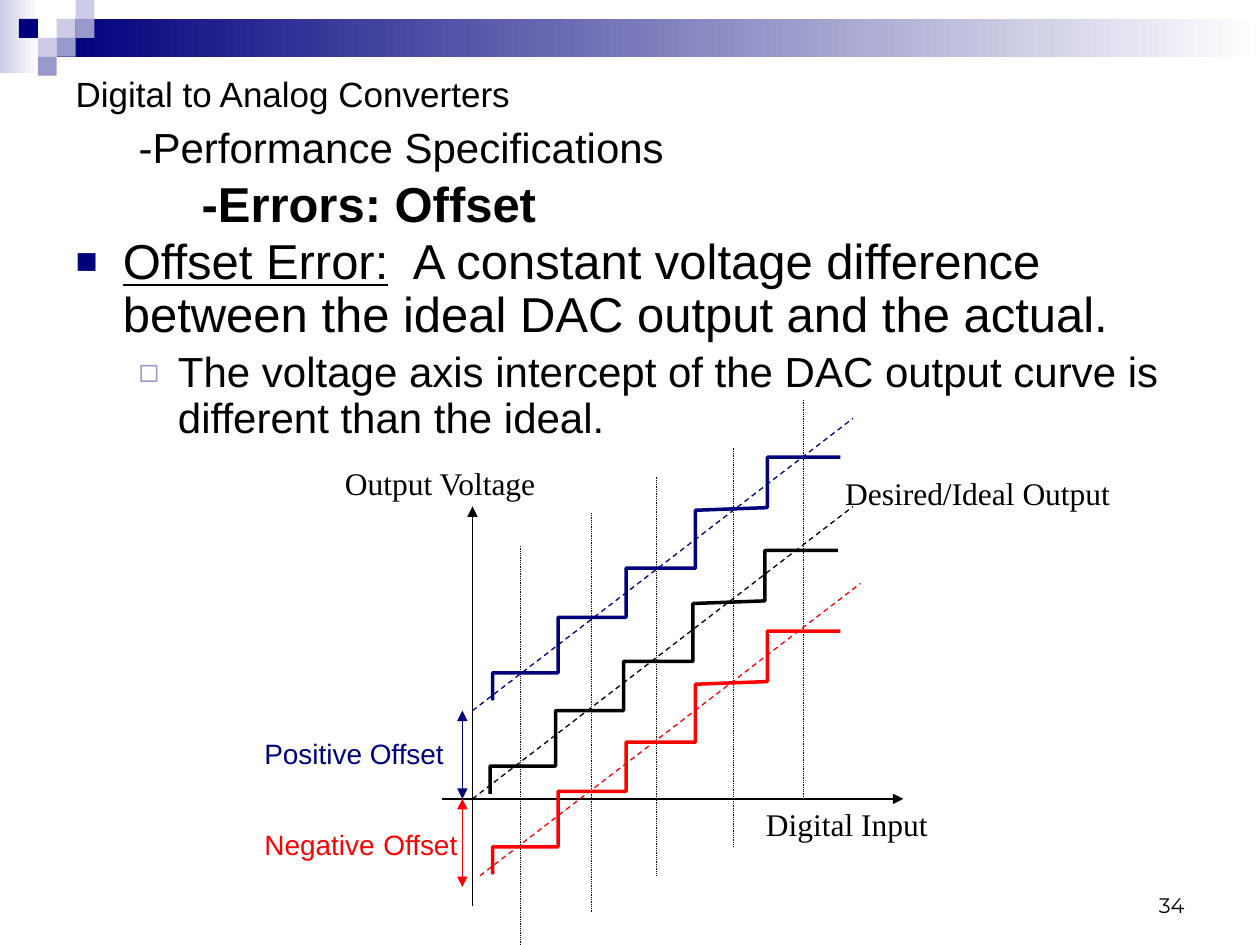
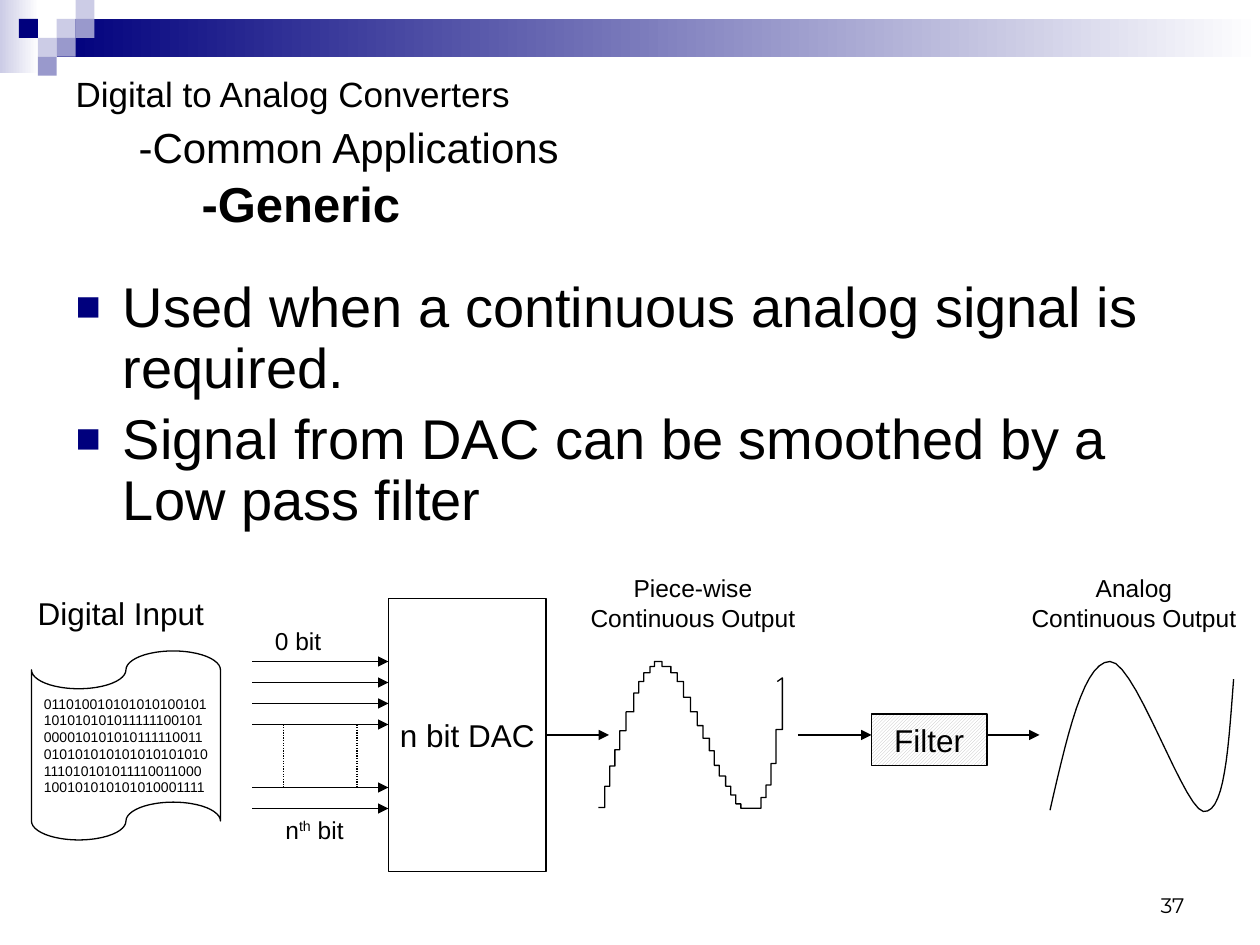
import pptx
import pptx.util
import pptx.dml.color
import pptx.enum.dml
import pptx.enum.shapes
import pptx.enum.text
import pptx.oxml
import pptx.oxml.ns

Pt = pptx.util.Pt
ALIGN = pptx.enum.text.PP_ALIGN
ANCHOR = pptx.enum.text.MSO_ANCHOR
SHAPE = pptx.enum.shapes.MSO_SHAPE
DASH = pptx.enum.dml.MSO_LINE.DASH
DOT = pptx.enum.dml.MSO_LINE.ROUND_DOT

COLOURS = {
    "black": "000000",
    "white": "FFFFFF",
    "navy": "00007D",
    "lilac": "9999CC",
    "pale": "CCCCE6",
    "red": "FF0000",
    "hatch": "C0C0C0",
}
BULLETS = [
    {"char": "■", "colour": "navy", "percent": 75, "margin": 27, "indent": -27},
    {"char": "◻", "colour": "lilac", "percent": 80, "margin": 58.5, "indent": -22.5},
]
BAND_UNIT = 10.8
BAND_SQUARES = [(3, 1, "pale"), (4, 0, "pale"), (4, 1, "lilac"), (2, 2, "pale"),
                (1, 1, "navy"), (3, 2, "lilac"), (2, 3, "lilac")]


def rgb(name):
    return pptx.dml.color.RGBColor.from_string(COLOURS[name])


def add_xml(parent, tag, **attributes):
    child = pptx.oxml.parse_xml(f"<a:{tag} {pptx.oxml.ns.nsdecls('a')}/>")
    for key, value in attributes.items():
        child.set(key, str(value))
    parent.append(child)
    return child


def staircase(start, treads, end=()):
    points = [start]
    level = start[1]
    for x, y, *slope in treads:
        points += [(x, level), (x, y)]
        level = slope[0] if slope else y
    return points + list(end)


def bezier(start, curves, steps=14):
    points = [start]
    for a, b, end in curves:
        first = points[-1]
        for step in range(1, steps + 1):
            t = step / steps
            u = 1 - t
            points.append(tuple(
                u**3 * p + 3 * u * u * t * q + 3 * u * t * t * r + t**3 * s
                for p, q, r, s in zip(first, a, b, end)))
    return points


class Builder:
    def __init__(self):
        self.deck = pptx.Presentation()
        self.deck.slide_width, self.deck.slide_height = Pt(720), Pt(540)
        self.page = None

    def new_page(self, number, topic, subject):
        self.page = self.deck.slides.add_slide(self.deck.slide_layouts[1])
        self.band()
        self.title(topic, subject)
        self.text(516, 492, 168, 36, [(number, 12)], font="Montserrat",
                  align=ALIGN.RIGHT, anchor=ANCHOR.BOTTOM)

    def band(self):
        unit = BAND_UNIT
        self.gradient(0, 0, 22.3, 41.8, "pale")
        self.gradient(3 * unit, unit, 720 - 3 * unit, 2 * unit, "navy")
        for column, row, colour in BAND_SQUARES:
            self.rect(column * unit, row * unit, unit, unit, fill=colour)

    def title(self, topic, subject):
        box = self.page.shapes.title
        self.place(box, 36, 48, 648, 78)
        frame = box.text_frame
        frame.auto_size = pptx.enum.text.MSO_AUTO_SIZE.NONE
        frame.vertical_anchor = ANCHOR.MIDDLE
        para = frame.paragraphs[0]
        para.alignment = ALIGN.LEFT
        self.add_spans(para, [("Digital to Analog Converters", 20), ("\v", 20),
                              ("\t", 28), ("-" + topic, 24), ("\v", 24),
                              ("\t\t", 24), ("-" + subject, 28, "bold")])

    def bullets(self, top, height, items):
        box = self.page.placeholders[1]
        self.place(box, 36, top, 648, height)
        frame = box.text_frame
        frame.auto_size = pptx.enum.text.MSO_AUTO_SIZE.NONE
        for index, (level, spans) in enumerate(items):
            para = frame.add_paragraph() if index else frame.paragraphs[0]
            para.level = level
            para.line_spacing = 0.9
            self.add_spans(para, spans)
            style = BULLETS[level]
            props = para._p.get_or_add_pPr()
            props.set("marL", str(Pt(style["margin"])))
            props.set("indent", str(Pt(style["indent"])))
            add_xml(add_xml(props, "buClr"), "srgbClr", val=COLOURS[style["colour"]])
            add_xml(props, "buSzPct", val=style["percent"] * 1000)
            add_xml(props, "buFont", typeface="Arial")
            add_xml(props, "buChar", char=style["char"])

    def place(self, box, left, top, width, height):
        box.left, box.top, box.width, box.height = map(Pt, (left, top, width, height))

    def add_spans(self, para, spans, font="Arial", colour="black"):
        for text, size, *styles in spans:
            if text == "\v":
                para.add_line_break()
                add_xml(para._p[-1], "rPr", sz=size * 100)
                continue
            span = para.add_run()
            span.text = text
            span.font.name = font
            span.font.size = Pt(size)
            span.font.color.rgb = rgb(colour)
            if "bold" in styles:
                span.font.bold = True
            if "underline" in styles:
                span.font.underline = True
            if "super" in styles:
                span.font._element.set("baseline", "30000")

    def text(self, left, top, width, height, spans, font="Arial", colour="black",
             align=ALIGN.LEFT, anchor=ANCHOR.TOP):
        box = self.page.shapes.add_textbox(*map(Pt, (left, top, width, height)))
        frame = box.text_frame
        frame.word_wrap = True
        frame.vertical_anchor = anchor
        frame.paragraphs[0].alignment = align
        self.add_spans(frame.paragraphs[0], spans, font, colour)

    def rect(self, left, top, width, height, fill=None, line=None, kind=SHAPE.RECTANGLE):
        box = self.page.shapes.add_shape(kind, *map(Pt, (left, top, width, height)))
        box.shadow.inherit = False
        if fill:
            box.fill.solid()
            box.fill.fore_color.rgb = rgb(fill)
        else:
            box.fill.background()
        if line:
            box.line.color.rgb = rgb(line)
            box.line.width = Pt(0.75)
        else:
            box.line.fill.background()
        return box

    def gradient(self, left, top, width, height, colour):
        box = self.rect(left, top, width, height)
        box.fill.gradient()
        box.fill.gradient_angle = 0
        for stop, name in zip(box.fill.gradient_stops, (colour, "white")):
            stop.color.rgb = rgb(name)

    def label(self, box, lines, size, align=ALIGN.CENTER, wrap=False):
        frame = box.text_frame
        frame.word_wrap = wrap
        frame.vertical_anchor = ANCHOR.MIDDLE
        for index, line in enumerate(lines):
            para = frame.add_paragraph() if index else frame.paragraphs[0]
            para.alignment = align
            self.add_spans(para, [(line, size)])

    def line(self, x1, y1, x2, y2, colour="black", width=0.75, dash=None,
             ends=(), source=None):
        link = self.page.shapes.add_connector(
            pptx.enum.shapes.MSO_CONNECTOR.STRAIGHT, *map(Pt, (x1, y1, x2, y2)))
        link.line.color.rgb = rgb(colour)
        link.line.width = Pt(width)
        if dash:
            link.line.dash_style = dash
        for end in ends:
            add_xml(link.line._get_or_add_ln(), end, type="triangle")
        add_xml(link._element.spPr, "effectLst")
        if source:
            link.begin_connect(source, 3)

    def arrow(self, x1, y1, x2, y2, source=None):
        self.line(x1, y1, x2, y2, ends=["tailEnd"], source=source)

    def curve(self, points, colour="black", width=0.75):
        first, *rest = [(Pt(x), Pt(y)) for x, y in points]
        outline = self.page.shapes.build_freeform(*first, scale=1.0)
        outline.add_line_segments(rest, close=False)
        shape = outline.convert_to_shape()
        shape.shadow.inherit = False
        shape.fill.background()
        shape.line.color.rgb = rgb(colour)
        shape.line.width = Pt(width)


def offset_page(builder):
    builder.new_page("34", "Performance Specifications", "Errors: Offset")
    builder.bullets(132, 120, [
        (0, [("Offset Error:", 28, "underline"),
             ("  A constant voltage difference between the ideal DAC output and the actual.", 28)]),
        (1, [("The voltage axis intercept of the DAC output curve is different than the ideal.", 24)]),
    ])
    axis_x, axis_y = 270, 456.5
    builder.arrow(axis_x, 517.7, axis_x, 289.4)
    builder.arrow(252.7, axis_y, 516.2, axis_y)
    for x, bottom in [(297.4, 540), (337.7, 521.3), (375.1, 500.4),
                      (419, 483.8), (459.4, axis_y)]:
        builder.line(x, bottom, x, bottom - 228.2, width=0.5, dash=DOT)

    treads = [(0, -15.8), (37.4, -47.5), (76.3, -75.6), (115.9, -108.7, -110.2),
              (157, -139)]
    outputs = [("black", (280.1, 453.6), (axis_x, axis_y)),
               ("navy", (281.5, 400.3), (axis_x, 406.1)),
               ("red", (281.5, 499.7), (274.3, 500.4))]
    for colour, (left, bottom), (x, y) in outputs:
        builder.line(x, y, x + 217.4, y - 167, colour, dash=DASH)
        steps = staircase((0, 0), treads, [(198.7, -139)])
        builder.curve([(left + dx, bottom + dy) for dx, dy in steps], colour, 2)

    for words, left, top, width in [("Digital Input", 430.6, 456.5, 137.5),
                                    ("Desired/Ideal Output", 475.9, 267.1, 172),
                                    ("Output Voltage", 190, 261.4, 126)]:
        builder.text(left, top, width, 28.8, [(words, 18)], font="Times New Roman")
    for colour, end_y in [("navy", 406.1), ("red", 506.9)]:
        builder.line(264.2, axis_y, 264.2, end_y, colour, ends=["headEnd", "tailEnd"])
    builder.text(144, 417.6, 160.6, 26.6, [("Positive Offset", 16)], colour="navy")
    builder.text(144, 467.3, 137.5, 28.8,
                 [("Negative", 16), (" ", 18), ("Offset", 16)], colour="red")


def generic_page(builder):
    builder.new_page("37", "Common Applications", "Generic")
    builder.bullets(156, 156, [
        (0, [("Used when a continuous analog signal is required.", 32)]),
        (0, [("Signal from DAC can be smoothed by a Low pass filter", 32)]),
    ])
    for y in (378, 390, 402, 414, 450, 462):
        builder.arrow(144, y, 222, y)
    for x in (162, 204):
        builder.line(x, 414, x, 450, dash=DOT)
    builder.text(150, 354, 60, 24, [("0 bit", 14)])
    builder.text(156, 462, 60, 24, [("n", 14), ("th", 14, "super"), (" bit", 14)])

    dac = builder.rect(222, 342, 90, 156, line="black")
    builder.label(dac, ["n bit DAC"], 18)
    tape = builder.rect(18, 372, 108, 108, line="black", kind=SHAPE.FLOWCHART_PUNCHED_TAPE)
    builder.label(tape, ["011010010101010100101", "101010101011111100101",
                         "000010101010111110011", "010101010101010101010",
                         "111010101011110011000", "100101010101010001111"],
                  8, ALIGN.LEFT)

    sampled = [(345.6, 449.3), (348.5, 437.8), (351.4, 428.4), (354.2, 417.6),
               (357.8, 406.8), (362.2, 396), (365, 389.5), (367.9, 384.5),
               (371.5, 380.9), (374, 378), (378.3, 380.9), (383.4, 384.5),
               (387, 389.5), (390.6, 398.5), (394.6, 406.8), (398.5, 414.7),
               (401.8, 421.9), (405.4, 429.1), (408.2, 437.4), (411.1, 443.5),
               (414.7, 449.3), (417.6, 454.3), (420.5, 459.4), (423.4, 461.9),
               (434.9, 455.8), (437.8, 448.6), (440.6, 436.3), (443.5, 416.9),
               (447.1, 387.4)]
    builder.curve(staircase((342, 461.5), sampled, [(444.2, 389.5)]))
    builder.curve(bezier((600, 463), [
        ((609.8, 420.5), (619.2, 378), (634.3, 378)),
        ((648.7, 378), (676.1, 461.5), (687.6, 463.7)),
        ((699.8, 465.1), (702, 427), (704.9, 388.1)),
    ]))

    low_pass = builder.rect(498, 408, 66, 29.5, line="black")
    low_pass.fill.patterned()
    low_pass.fill.pattern = pptx.enum.dml.MSO_PATTERN.LIGHT_UPWARD_DIAGONAL
    low_pass.fill.fore_color.rgb = rgb("hatch")
    low_pass.fill.back_color.rgb = rgb("white")
    builder.label(low_pass, ["Filter"], 18, wrap=True)
    builder.arrow(312, 420, 348, 420, source=dac)
    builder.arrow(456, 420, 498, 420)
    builder.arrow(564, 420, 594, 420)

    builder.text(12, 336, 114, 28.8, [("Digital Input", 18)], align=ALIGN.CENTER)
    for left, word in [(324, "Piece-wise"), (576, "Analog")]:
        builder.text(left, 324, 144, 41,
                     [(word, 14), ("\v", 14), ("Continuous Output", 14)],
                     align=ALIGN.CENTER)


def main():
    builder = Builder()
    offset_page(builder)
    generic_page(builder)
    builder.deck.save("out.pptx")


if __name__ == "__main__":
    main()
